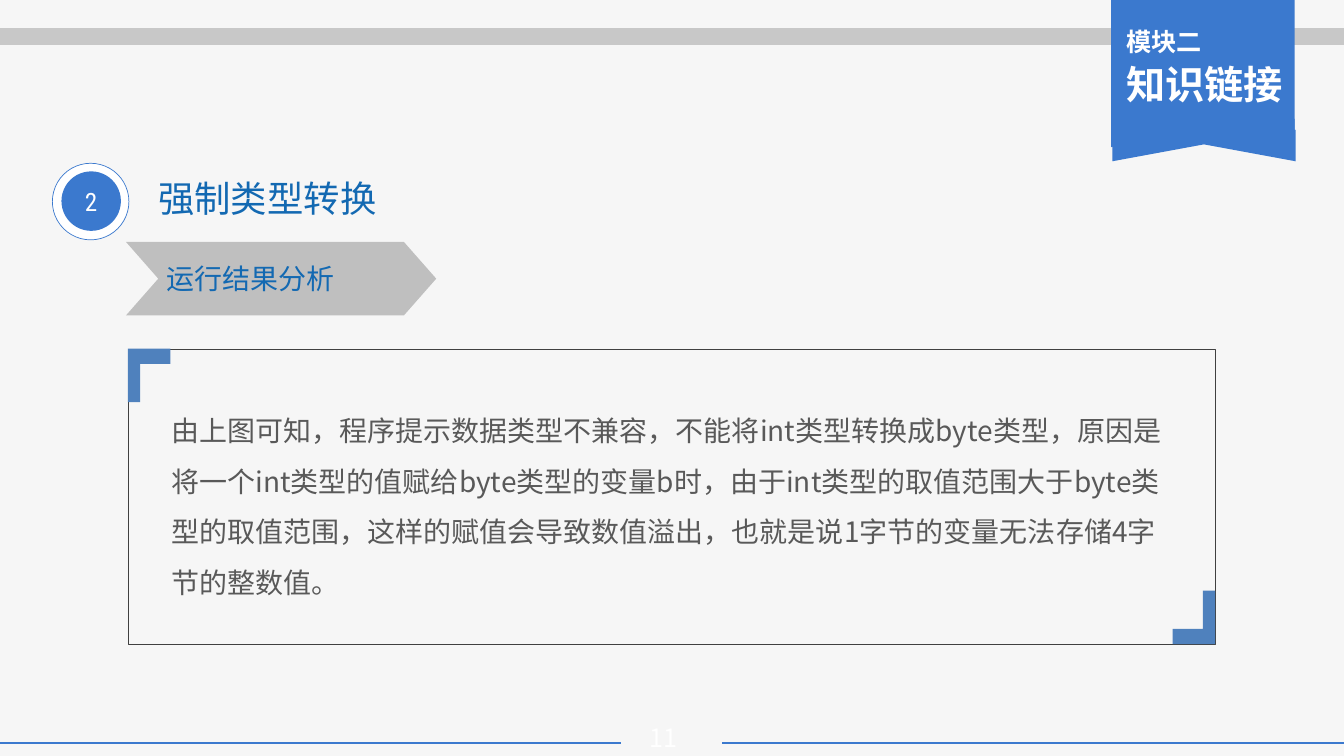
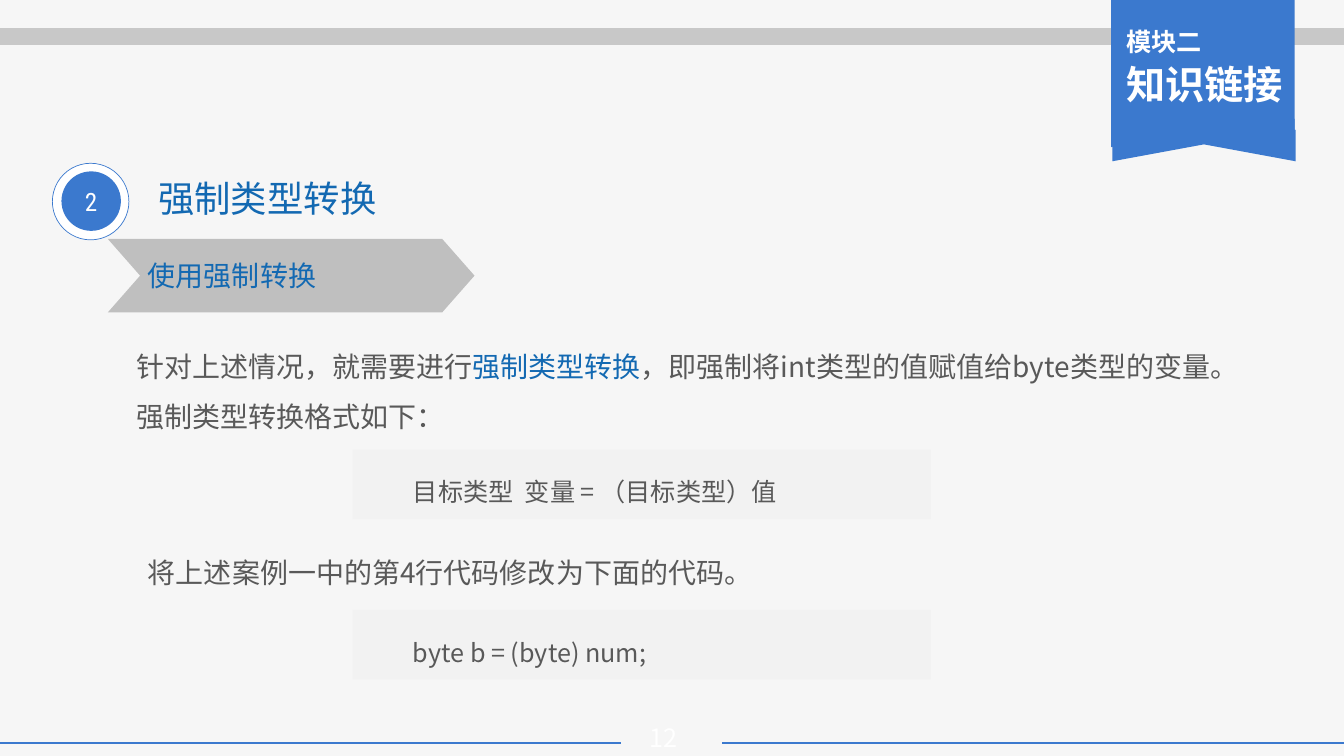
from lxml.etree import SubElement
from pptx import Presentation
from pptx.dml.color import RGBColor
from pptx.enum.shapes import MSO_CONNECTOR, MSO_SHAPE
from pptx.enum.text import MSO_ANCHOR, MSO_AUTO_SIZE, PP_ALIGN
from pptx.oxml.ns import qn
from pptx.util import Inches, Pt

# The grid: 133.4 columns by 75 rows of square cells
CELL = Inches(0.1)
COLUMNS, ROWS = 133.4, 75

# Shared style
FONT, NUMBER_FONT = "Noto Sans CJK SC", "Roboto Condensed"
PAPER, WHITE, BLUE, HEADING = "F6F6F6", "FFFFFF", "3B79CE", "1369B2"
BAND, ARROW, PANEL = "C8C8C8", "BFBFBF", "F2F2F2"
TEXT, FRAME, CORNER = "595959", "404040", "4F81BD"
BODY = {"line_spacing": 1.5, "space_before": Pt(0)}


def cells(*counts):
    return [round(count * CELL) for count in counts]


def rgb(code):
    return RGBColor.from_string(code)


def apply(target, values):
    for attribute, value in values.items():
        setattr(target, attribute, value)


def paint(shape, fill=None, line=None, width=0.5):
    """Set fill and outline; None means none."""
    shape.shadow.inherit = False
    if fill:
        shape.fill.solid()
        shape.fill.fore_color.rgb = rgb(fill)
    else:
        shape.fill.background()
    if line:
        shape.line.color.rgb = rgb(line)
        shape.line.width = Pt(width)
    else:
        shape.line.fill.background()


def add_preset(slide, preset, box, adjust=None, **colours):
    shape = slide.shapes.add_shape(preset, *cells(*box))
    if adjust is not None:
        shape.adjustments[0] = adjust
    paint(shape, **colours)
    return shape


def add_rule(slide, start, end, row, colour, width):
    rule = slide.shapes.add_connector(
        MSO_CONNECTOR.STRAIGHT, *cells(start, row, end, row))
    rule.line.color.rgb = rgb(colour)
    rule.line.width = Pt(width)
    SubElement(rule.element.spPr, qn("a:effectLst"))


def write(frame, runs, size=20, font=FONT, bold=False, indent=None, **layout):
    """Add one paragraph made of (text, colour) runs."""
    paragraph = frame.add_paragraph() if frame.text else frame.paragraphs[0]
    if indent is not None:
        properties = paragraph._p.get_or_add_pPr()
        properties.set("marL", str(cells(indent)[0]))
        properties.set("indent", "0")
        SubElement(properties, qn("a:buNone"))
    apply(paragraph, {"alignment": PP_ALIGN.LEFT, **layout})
    for text, colour in runs:
        run = paragraph.add_run()
        run.text = text
        apply(run.font, {"size": Pt(size), "bold": bold, "name": font})
        run.font.color.rgb = rgb(colour)
        SubElement(run.font._element, qn("a:ea")).set("typeface", font)


def add_text(slide, box, wrap=True):
    frame = slide.shapes.add_textbox(*cells(*box)).text_frame
    frame.word_wrap = wrap
    return frame


def fill_placeholder(placeholder, box, runs, **style):
    apply(placeholder, dict(zip(("left", "top", "width", "height"), cells(*box))))
    frame = placeholder.text_frame
    apply(frame, {"auto_size": MSO_AUTO_SIZE.NONE, "word_wrap": True,
                  "vertical_anchor": MSO_ANCHOR.TOP})
    write(frame, runs, indent=0, **style)


# Shared parts
def decorate_layout(layout, slide):
    """Draw rules and ribbon on the slide, then hand them to the layout."""
    layout.background.fill.solid()
    layout.background.fill.fore_color.rgb = rgb(PAPER)
    content = list(slide.shapes)
    add_rule(slide, 71.7, COLUMNS, 73.7, BLUE, 1.77)
    add_rule(slide, 0, 61.6, 73.7, BLUE, 1.77)
    add_rule(slide, 0, COLUMNS, 3.6, BAND, 12)
    ribbon = ((MSO_SHAPE.CHEVRON, (117.1, 4.5, 4.8, 18.2), 0.35),
              (MSO_SHAPE.CHEVRON, (116.6, 2.7, 5.6, 18.2), 0.5),
              (MSO_SHAPE.PENTAGON, (112.6, -2.3, 13.6, 18.2), 0))
    for preset, box, adjust in ribbon:
        add_preset(slide, preset, box, adjust, fill=BLUE).rotation = 270
    for part in list(slide.shapes)[len(content):]:
        layout.shapes.element.append(part.element)


def add_badge(slide, number):
    add_preset(slide, MSO_SHAPE.OVAL, (5.2, 16.2, 7.6, 7.6), fill=WHITE, line=BLUE)
    disc = add_preset(slide, MSO_SHAPE.OVAL, (6.1, 17, 5.9, 5.9), fill=BLUE)
    disc.text_frame.vertical_anchor = MSO_ANCHOR.MIDDLE
    write(disc.text_frame, [(number, WHITE)], 18, NUMBER_FONT,
          alignment=PP_ALIGN.CENTER)


def add_heading(slide, page):
    fill_placeholder(slide.shapes.title, (14.7, 17, 38.1, 4.7),
                     [("强制类型转换", HEADING)], size=26)
    add_badge(slide, "2")
    module = add_text(slide, (110.8, 2.1, 17.8, 9.2))
    for text, size in (("模块二", 18), ("知识链接", 28)):
        write(module, [(text, WHITE)], size, bold=True, space_after=Pt(3))
    page_number = add_text(slide, (60.9, 71.2, 10, 4))
    page_number.vertical_anchor = MSO_ANCHOR.MIDDLE
    write(page_number, [(page, WHITE)], 18, alignment=PP_ALIGN.CENTER)


def add_subheading(slide, text, left, top, width):
    add_preset(slide, MSO_SHAPE.CHEVRON, (left, top, width, 7.3), 0.44, fill=ARROW)
    label = add_text(slide, (left + 3, top + 1.5, 18.7, 4.4), wrap=False)
    write(label, [(text, HEADING)])


# Parts of single slides
def add_corner(slide, column, row, direction):
    """Draw an angle whose arms run right and down (1) or left and up (-1)."""
    outline = ((0, 0), (4.2, 0), (4.2, 1.5), (1.2, 1.5), (1.2, 5.3), (0, 5.3))
    points = [cells(column + direction * x, row + direction * y)
              for x, y in outline]
    builder = slide.shapes.build_freeform(*points[0])
    builder.add_line_segments(points[1:])
    paint(builder.convert_to_shape(), fill=CORNER)


def add_framed_corners(slide, left, top, width, height):
    add_preset(slide, MSO_SHAPE.ROUNDED_RECTANGLE, (left, top, width, height), 0,
               line=FRAME, width=0.25)
    add_corner(slide, left, top, 1)
    add_corner(slide, left + width, top + height, -1)


def add_code(slide, row, code):
    panel = add_preset(slide, MSO_SHAPE.RECTANGLE, (35, row, 57.4, 6.9), fill=PANEL)
    panel.text_frame.vertical_anchor = MSO_ANCHOR.MIDDLE
    write(panel.text_frame, [(code, TEXT)], 18, indent=5, line_spacing=1.5)


def build_analysis(slide):
    add_heading(slide, "11")
    add_subheading(slide, "运行结果分析", 12.5, 24, 30.8)
    explanation = (
        "由上图可知，程序提示数据类型不兼容，不能将int类型转换成byte类型，"
        "原因是将一个int类型的值赋给byte类型的变量b时，"
        "由于int类型的取值范围大于byte类型的取值范围，"
        "这样的赋值会导致数值溢出，也就是说1字节的变量无法存储4字节的整数值。")
    fill_placeholder(slide.placeholders[1], (16, 38.9, 101.3, 21.2),
                     [(explanation, TEXT)], **BODY)
    add_framed_corners(slide, 12.7, 34.6, 107.9, 29.3)


def build_casting(slide):
    add_heading(slide, "12")
    add_subheading(slide, "使用强制转换", 10.7, 23.7, 36.4)
    fill_placeholder(
        slide.placeholders[1], (12.5, 32.5, 112.3, 11.1),
        [("针对上述情况，就需要进行", TEXT), ("强制类型转换", HEADING),
         ("，即强制将int类型的值赋值给byte类型的变量。强制类型转换格式如下：", TEXT)],
        **BODY)
    add_code(slide, 44.6, "目标类型  变量 = （目标类型）值")
    change = add_text(slide, (13.7, 53, 65.5, 6))
    write(change, [("将上述案例一中的第4行代码修改为下面的代码。", TEXT)], **BODY)
    add_code(slide, 60.5, "byte b = (byte) num;")


def main():
    deck = Presentation()
    deck.slide_width, deck.slide_height = cells(COLUMNS, ROWS)
    layout = deck.slide_layouts[1]
    analysis, casting = [deck.slides.add_slide(layout) for _ in range(2)]
    decorate_layout(layout, analysis)
    build_analysis(analysis)
    build_casting(casting)
    deck.save("out.pptx")


if __name__ == "__main__":
    main()
